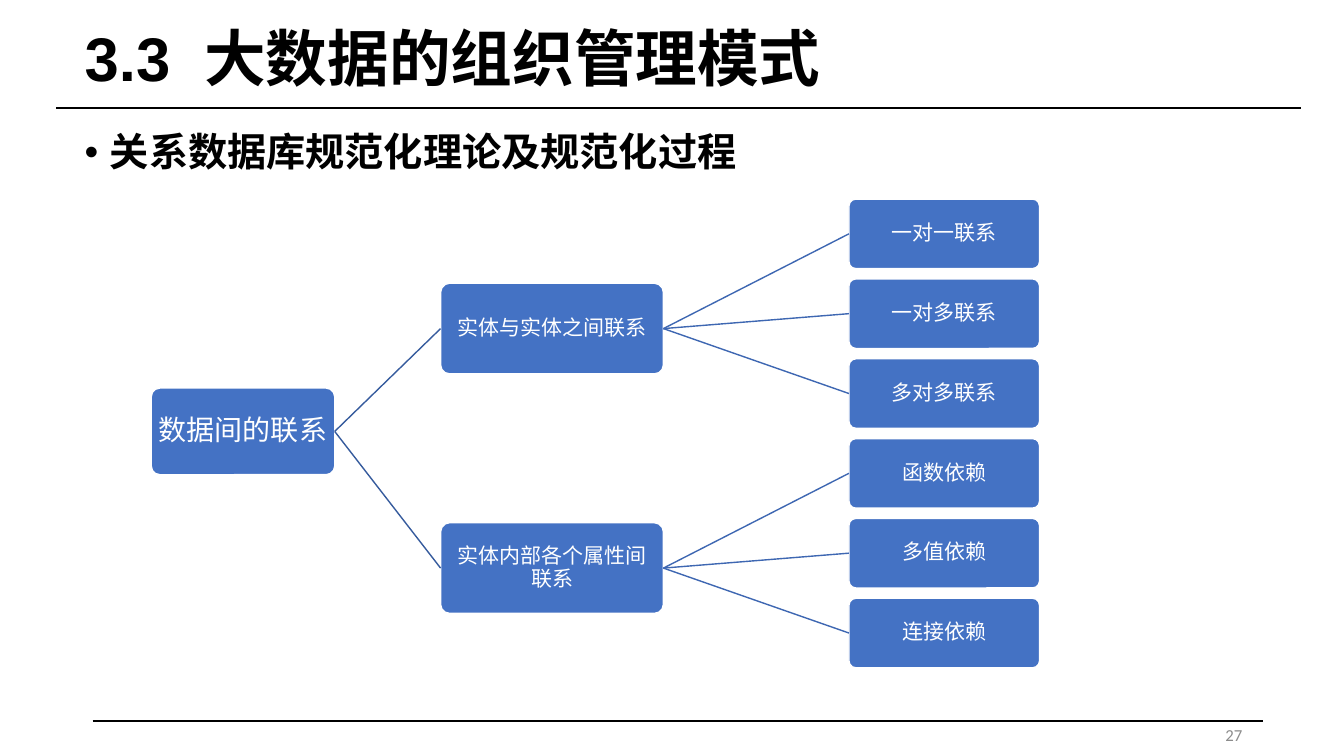
from lxml import etree
from pptx import Presentation
from pptx import util as u
from pptx.dml.color import RGBColor
from pptx.enum import shapes, text
from pptx.oxml.ns import qn

COLORS = {"black": "000000", "white": "FFFFFF", "box": "4472C4",
          "trunk": "365B9D", "branch": "3E67B2", "number": "8C8C8C"}
ROW = 0.792
FIRST_ROW = 2.32
ROOT = {"left": 1.5, "width": 1.82, "height": 0.86, "size": 20}
GROUP = {"left": 4.37, "width": 2.21, "height": 0.9, "size": 15}
LEAF = {"left": 8.42, "width": 1.89, "height": 0.69, "size": 15}
TREE = {
    "实体与实体之间联系": ["一对一联系", "一对多联系", "多对多联系"],
    "实体内部各个属性间联系": ["函数依赖", "多值依赖", "连接依赖"],
}

presentation = Presentation()
presentation.slide_width = u.Inches(13.33)
presentation.slide_height = u.Inches(7.5)
slide = presentation.slides.add_slide(presentation.slide_layouts[1])


def add_line(start, end, color, width):
    line = slide.shapes.add_connector(
        shapes.MSO_CONNECTOR.STRAIGHT, *[u.Inches(value) for value in (*start, *end)])
    line.line.color.rgb = RGBColor.from_string(COLORS[color])
    line.line.width = u.Pt(width)
    etree.SubElement(line._element.spPr, qn("a:effectLst"))
    return line


def add_node(label, column, middle):
    node = slide.shapes.add_shape(
        shapes.MSO_SHAPE.ROUNDED_RECTANGLE, u.Inches(column["left"]),
        u.Inches(middle - column["height"] / 2),
        u.Inches(column["width"]), u.Inches(column["height"]))
    node.adjustments[0] = 0.1
    node.shadow.inherit = False
    node.fill.solid()
    node.fill.fore_color.rgb = RGBColor.from_string(COLORS["box"])
    node.line.color.rgb = RGBColor.from_string(COLORS["white"])
    node.line.width = u.Pt(1)
    frame = node.text_frame
    frame.word_wrap = True
    frame.vertical_anchor = text.MSO_ANCHOR.MIDDLE
    frame.margin_left = frame.margin_right = u.Inches(0.04)
    frame.margin_top = frame.margin_bottom = u.Inches(0.04)
    paragraph = frame.paragraphs[0]
    paragraph.text = label
    paragraph.alignment = text.PP_ALIGN.CENTER
    paragraph.line_spacing = 0.9
    paragraph.font.name = "Noto Sans CJK SC"
    paragraph.font.size = u.Pt(column["size"])
    paragraph.font.color.rgb = RGBColor.from_string(COLORS["white"])
    return node


add_line((0.56, 1.07), (12.9, 1.07), "black", 1.75)
add_line((0.92, 7.15), (12.53, 7.15), "black", 1.25)

title, body = slide.placeholders
for placeholder, top, height, font_name, size in (
        (title, 0.15, 0.92, "Arial", 44), (body, 1.27, 5.49, "Calibri", 28)):
    placeholder.left, placeholder.width = u.Inches(0.74), u.Inches(11.95)
    placeholder.top, placeholder.height = u.Inches(top), u.Inches(height)
    placeholder.text_frame.auto_size = text.MSO_AUTO_SIZE.NONE
    paragraph = placeholder.text_frame.paragraphs[0]
    paragraph.alignment = text.PP_ALIGN.LEFT
    paragraph.line_spacing = 0.9
    paragraph.space_before = u.Pt(0)
    if placeholder is body:
        properties = paragraph._p.get_or_add_pPr()
        properties.set("marL", str(u.Inches(0.25)))
        properties.set("indent", str(u.Inches(-0.25)))
        etree.SubElement(properties, qn("a:buFont")).set("typeface", "Arial")
        etree.SubElement(properties, qn("a:buChar")).set("char", "•")
    paragraph.font.name = font_name
    paragraph.font.size = u.Pt(size)
    paragraph.font.bold = True
    paragraph.font.color.rgb = RGBColor.from_string(COLORS["black"])

title.text_frame.vertical_anchor = text.MSO_ANCHOR.MIDDLE
for part in ("3.3", " ", "大数据的组织管理模式"):
    run = title.text_frame.paragraphs[0].add_run()
    run.text = part
    if part == " ":
        run._r.get_or_add_rPr().set("spc", "1200")
body.text_frame.paragraphs[0].add_run().text = "关系数据库规范化理论及规范化过程"

root = add_node("数据间的联系", ROOT, 4.28)
links = []
for group_index, (group_label, leaf_labels) in enumerate(TREE.items()):
    first_leaf = FIRST_ROW + group_index * len(leaf_labels) * ROW
    group = add_node(group_label, GROUP, first_leaf + 0.94)
    links.append((root, group, "trunk"))
    for leaf_index, leaf_label in enumerate(leaf_labels):
        leaf = add_node(leaf_label, LEAF, first_leaf + leaf_index * ROW)
        links.append((group, leaf, "branch"))

for parent, child, color in links:
    link = add_line((0, 0), (1, 1), color, 1)
    link.begin_connect(parent, 3)
    link.end_connect(child, 1)

number = slide.shapes.add_textbox(u.Inches(9.42), u.Inches(7.09), u.Inches(3), u.Inches(0.4))
number.text_frame.word_wrap = True
number.text_frame.vertical_anchor = text.MSO_ANCHOR.MIDDLE
paragraph = number.text_frame.paragraphs[0]
paragraph.text = "27"
paragraph.alignment = text.PP_ALIGN.RIGHT
paragraph.font.name = "Calibri"
paragraph.font.size = u.Pt(12)
paragraph.font.color.rgb = RGBColor.from_string(COLORS["number"])

presentation.save("out.pptx")
